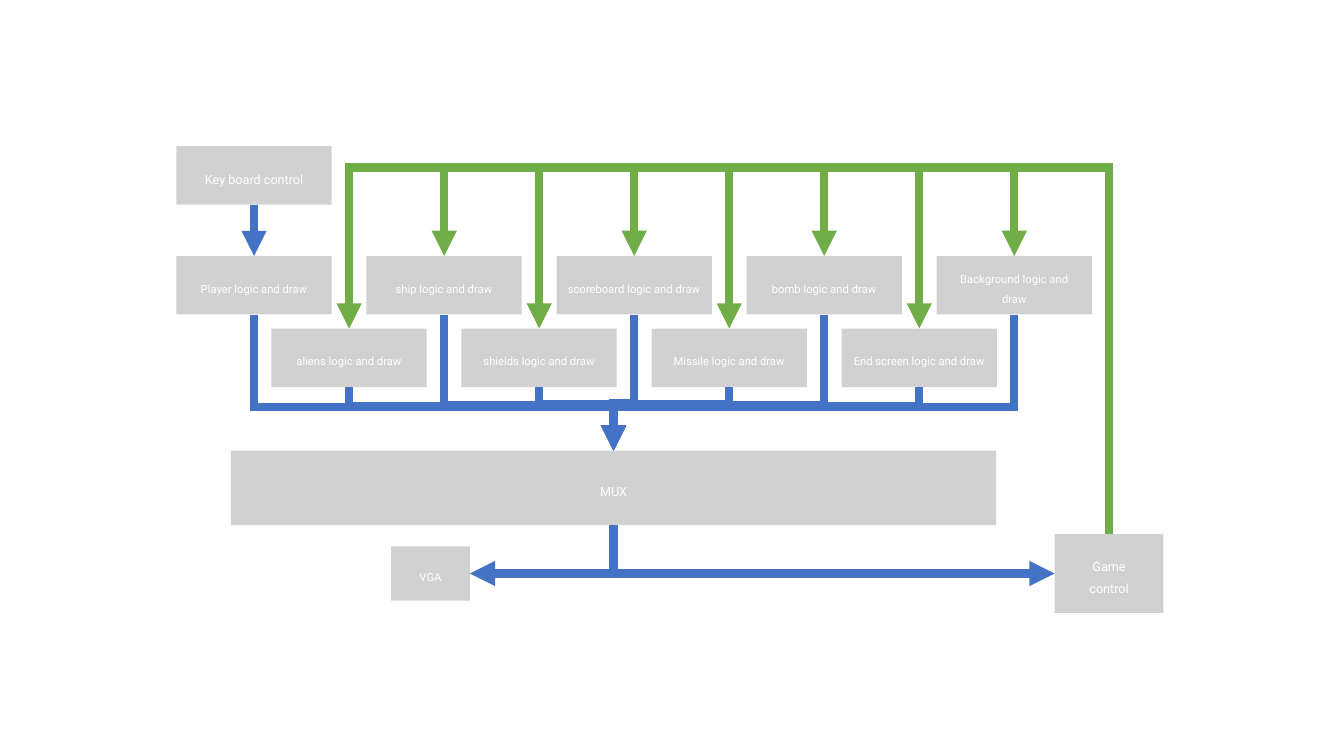
from lxml.etree import SubElement
from pptx import Presentation
from pptx.dml.color import RGBColor
from pptx.enum.shapes import MSO_CONNECTOR as Link, MSO_SHAPE as Shape
from pptx.enum.text import MSO_ANCHOR as Anchor, PP_ALIGN as Align
from pptx.oxml.ns import qn
from pptx.util import Inches, Pt

GREY, WHITE, BLUE, GREEN = "A5A5A5", "FFFFFF", "4472C4", "70AD47"
MODULES = ["Player", "aliens", "ship", "shields", "scoreboard",
           "Missile", "bomb", "End screen", "Background"]
MODULE_WIDTH, MODULE_HEIGHT = 1.54, 0.58


def color(value):
    """Turn a hex string into a colour."""
    return RGBColor.from_string(value)


def add_block(page, box, text, size):
    """Draw a translucent grey block with centred text."""
    block = page.shapes.add_shape(Shape.RECTANGLE, *map(Inches, box))
    block.shadow.inherit = False
    block.fill.solid()
    block.fill.fore_color.rgb = color(GREY)
    tint = block.fill._xPr.find(qn("a:solidFill"))[0]
    SubElement(tint, qn("a:alpha"), val="50000")
    block.line.fill.background()
    frame = block.text_frame
    frame.word_wrap = True
    frame.vertical_anchor = Anchor.MIDDLE
    frame.text = text
    for para in frame.paragraphs:
        para.alignment = Align.CENTER
        para.line_spacing = 1.5
        para.font.name = "Roboto"
        para.font.size = Pt(size)
        para.font.color.rgb = color(WHITE)
    return block


def middle(block, side):
    """Return the point in inches at the middle of a block's top, left, bottom or right."""
    across, down = [(0.5, 0), (0, 0.5), (0.5, 1), (1, 0.5)][side]
    return ((block.left + block.width * across) / Inches(1),
            (block.top + block.height * down) / Inches(1))


def style_arrow(arrow, tone):
    """Give a connector a thick line, sharp corners and an arrowhead."""
    arrow.line.color.rgb = color(tone)
    arrow.line.width = Pt(6)
    line = arrow.line._get_or_add_ln()
    SubElement(line, qn("a:miter"), lim="800000")
    SubElement(line, qn("a:tailEnd"), type="triangle")
    SubElement(arrow._element.spPr, qn("a:effectLst"))


def add_elbow(page, start, end, tone, bend=None):
    """Draw an arrow that leaves vertically, turning at height bend or once only."""
    (x1, y1), (x2, y2) = start, end
    width, height = abs(y2 - y1), abs(x2 - x1)
    left, top = (x1 + x2 - width) / 2, (y1 + y2 - height) / 2
    arrow = page.shapes.add_connector(
        Link.ELBOW, *map(Inches, (left, top, left + width, top + height)))
    frame = arrow._element.spPr.find(qn("a:xfrm"))
    down, leftward = y2 > y1, x2 < x1
    frame.set("rot", str((90 if down and leftward else 270) * 60000))
    if down and not leftward:
        frame.set("flipH", "1")
    if not down:
        frame.set("flipV", "1")
    shape = arrow._element.spPr.find(qn("a:prstGeom"))
    if bend is None:
        shape.set("prst", "bentConnector2")
    else:
        ratio = round((bend - y1) / (y2 - y1) * 100000)
        SubElement(shape.find(qn("a:avLst")), qn("a:gd"), name="adj1", fmla=f"val {ratio}")
    style_arrow(arrow, tone)


def add_modules(page, box):
    """Place the staggered logic blocks evenly across a box and return them."""
    left, top, width, height = box
    pitch = (width - MODULE_WIDTH) / (len(MODULES) - 1)
    drop = height - MODULE_HEIGHT
    return [add_block(page, (left + i * pitch, top + drop * (i % 2),
                             MODULE_WIDTH, MODULE_HEIGHT), f"{name} logic and draw", 8)
            for i, name in enumerate(MODULES)]


def add_keyboard(page, box, player):
    """Place the keyboard block and its arrow down to the player block."""
    keyboard = add_block(page, box, "Key board control", 9)
    arrow = page.shapes.add_connector(Link.STRAIGHT, 0, 0, 0, 0)
    arrow.begin_connect(keyboard, 2)
    arrow.end_connect(player, 0)
    style_arrow(arrow, BLUE)


def add_outputs(page, box):
    """Place MUX, VGA and game control in a box with the arrows between them."""
    left, top, width, height = box
    mux = add_block(page, (left, top, 7.59, 0.74), "MUX", 9)
    vga = add_block(page, (left + 1.59, top + 0.95, 0.78, 0.54), "VGA", 8)
    game = add_block(page, (left + width - 1.08, top + height - 0.78, 1.08, 0.78),
                     "Game\ncontrol", 9)
    for target, side in ((vga, 3), (game, 1)):
        add_elbow(page, middle(mux, 2), middle(target, side), BLUE)
    return mux, game


def add_buses(page, modules, mux, game):
    """Link every module to MUX and game control to every module but the player."""
    centre = len(modules) // 2
    for i, module in enumerate(modules):
        add_elbow(page, middle(module, 2), middle(mux, 0), BLUE, 4 + 0.01 * abs(i - centre))
    for module in modules[1:]:
        add_elbow(page, middle(game, 0), middle(module, 0), GREEN, 1.66)


def main():
    """Build the block diagram slide."""
    deck = Presentation()
    deck.slide_width, deck.slide_height = Inches(13.33), Inches(7.5)
    page = deck.slides.add_slide(deck.slide_layouts[6])
    modules = add_modules(page, (1.75, 2.54, 9.08, 1.3))
    add_keyboard(page, (1.75, 1.45, MODULE_WIDTH, MODULE_HEIGHT), modules[0])
    mux, game = add_outputs(page, (2.29, 4.47, 9.25, 1.61))
    add_buses(page, modules, mux, game)
    deck.save("out.pptx")


if __name__ == "__main__":
    main()
